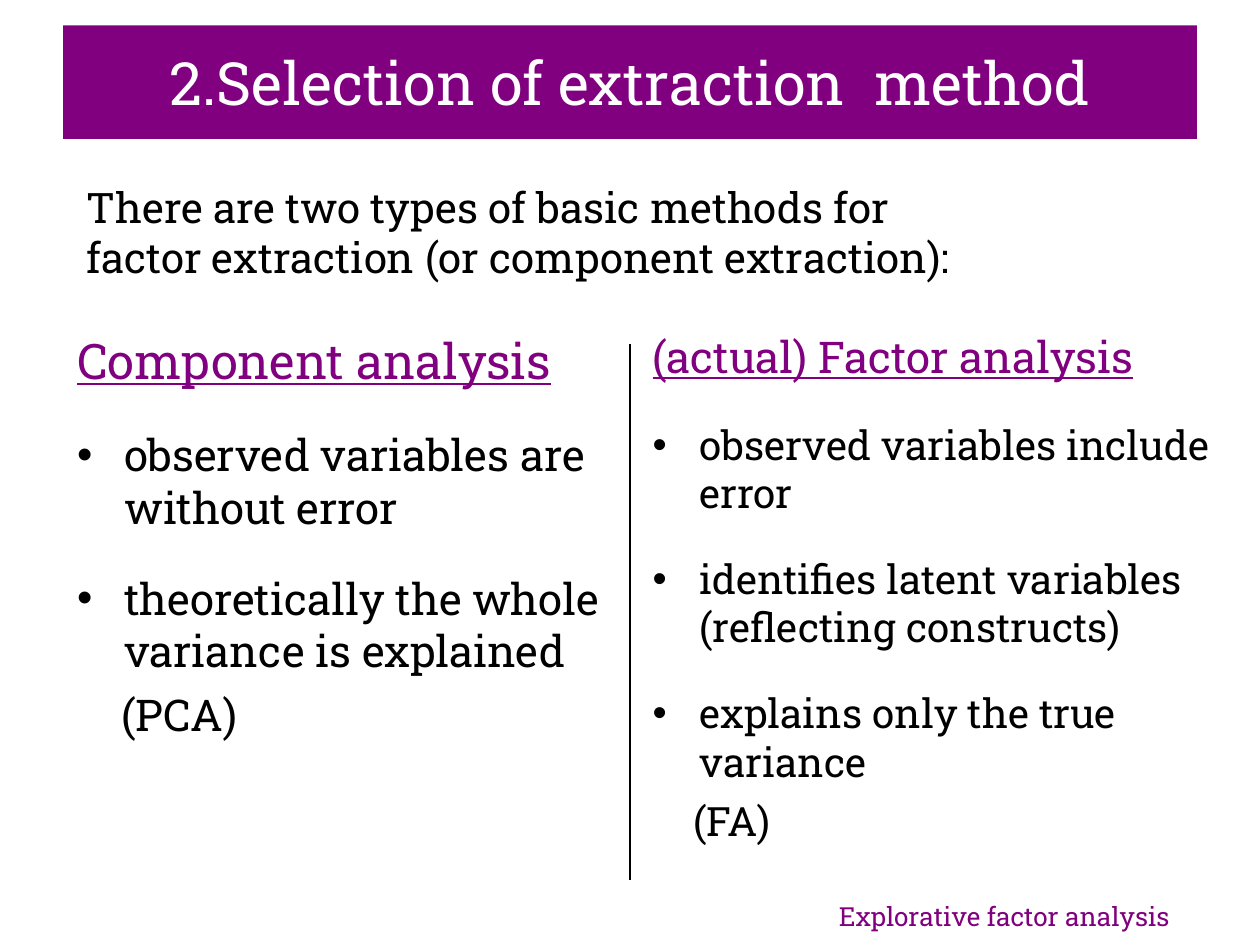
from dataclasses import dataclass

import pptx
import pptx.dml.color
import pptx.enum.shapes
import pptx.enum.text
import pptx.oxml
import pptx.oxml.ns
import pptx.util
from lxml import etree
from pptx.util import Cm, Pt


@dataclass(frozen=True)
class Theme:
    font: str = "Roboto Slab"
    purple: str = "800080"
    black: str = "000000"
    white: str = "FFFFFF"
    title: float = 34
    intro: float = 24
    footer: float = 15
    hanging: float = 0.95
    continuation_gap: float = 6.2


THEME = Theme()

TITLE = "2.Selection of extraction  method"
INTRO = ("There are two types of basic methods for factor extraction "
         "(or component extraction):")
FOOTER = "Explorative factor analysis"
METHODS = [
    {
        "heading": "Component analysis",
        "points": ["observed variables are without error",
                   "theoretically the whole variance is explained"],
        "abbreviation": "(PCA)",
        "box": (1.3, 6.53, 11.4, 8.61), "right_inset": 0.1,
        "heading_size": 28, "point_size": 25,
        "point_gap": 22.2, "abbreviation_indent": 0.89,
    },
    {
        "heading": "(actual) Factor analysis",
        "points": ["observed variables include error",
                   "identifies latent variables (reflecting constructs)",
                   "explains only the true variance"],
        "abbreviation": "(FA)",
        "box": (12.9, 6.53, 11.79, 11.4), "right_inset": 0.25,
        "heading_size": 25, "point_size": 23.1,
        "point_gap": 21.2, "abbreviation_indent": 0.83,
    },
]


def place(shape, left, top, width, height):
    shape.left, shape.top = Cm(left), Cm(top)
    shape.width, shape.height = Cm(width), Cm(height)


def add_text(frame, text, *, size, color=THEME.black, underline=False,
             align=pptx.enum.text.PP_ALIGN.LEFT, before=0,
             indent=0, bullet=False):
    """Fill the frame's empty first paragraph, or append another one."""
    paragraph = frame.paragraphs[0]
    if paragraph.runs:
        paragraph = frame.add_paragraph()
    paragraph.alignment = align
    paragraph.space_before = Pt(before)
    properties = paragraph._p.get_or_add_pPr()
    properties.set("marL", str(Cm(indent)))
    properties.set("indent", str(-Cm(indent) if bullet else 0))
    mark = etree.SubElement(
        properties, pptx.oxml.ns.qn("a:buChar" if bullet else "a:buNone"))
    if bullet:
        mark.set("char", "•")
    run = paragraph.add_run()
    run.text = text
    run.font.name = THEME.font
    run.font.size = Pt(size)
    run.font.underline = underline
    run.font.color.rgb = pptx.dml.color.RGBColor.from_string(color)


def add_title(slide):
    title = slide.shapes.title
    place(title, 1.27, 0.51, 22.86, 2.29)
    title.fill.solid()
    title.fill.fore_color.rgb = pptx.dml.color.RGBColor.from_string(THEME.purple)
    title.text_frame.auto_size = pptx.enum.text.MSO_AUTO_SIZE.NONE
    title.text_frame.vertical_anchor = pptx.enum.text.MSO_ANCHOR.MIDDLE
    add_text(title.text_frame, TITLE, size=THEME.title, color=THEME.white,
             align=pptx.enum.text.PP_ALIGN.CENTER)


def add_method(body, method):
    place(body, *method["box"])
    frame = body.text_frame
    frame.auto_size = pptx.enum.text.MSO_AUTO_SIZE.NONE
    frame.vertical_anchor = pptx.enum.text.MSO_ANCHOR.TOP
    frame.margin_right = Cm(method["right_inset"])
    add_text(frame, method["heading"], size=method["heading_size"],
             color=THEME.purple, underline=True)
    for point in method["points"]:
        add_text(frame, point, size=method["point_size"], bullet=True,
                 before=method["point_gap"], indent=THEME.hanging)
    add_text(frame, method["abbreviation"], size=method["point_size"],
             before=THEME.continuation_gap,
             indent=method["abbreviation_indent"])


def add_divider(slide):
    divider = slide.shapes.add_connector(
        pptx.enum.shapes.MSO_CONNECTOR.STRAIGHT,
        Cm(12.7), Cm(6.93), Cm(12.7), Cm(17.73))
    divider.line.color.rgb = pptx.dml.color.RGBColor.from_string(THEME.black)
    divider.line.width = Pt(0.75)
    etree.SubElement(divider._element.spPr, pptx.oxml.ns.qn("a:effectLst"))


def add_note(slide, text, box, wrap, **text_format):
    note = slide.shapes.add_textbox(*map(Cm, box))
    note.text_frame.word_wrap = wrap
    note.text_frame.auto_size = pptx.enum.text.MSO_AUTO_SIZE.SHAPE_TO_FIT_TEXT
    add_text(note.text_frame, text, **text_format)


def main():
    deck = pptx.Presentation()
    deck.slide_width, deck.slide_height = Cm(25.4), Cm(19.05)
    slide = deck.slides.add_slide(deck.slide_layouts.get_by_name("Two Content"))
    add_title(slide)
    for index, method in enumerate(METHODS, start=1):
        add_method(slide.placeholders[index], method)
    add_divider(slide)
    add_note(slide, FOOTER, (16.66, 18.03, 7.34, 0.89), False,
             size=THEME.footer, color=THEME.purple)
    add_note(slide, INTRO, (1.5, 3.53, 18.59, 2.29), True, size=THEME.intro)
    deck.save("out.pptx")


if __name__ == "__main__":
    main()
